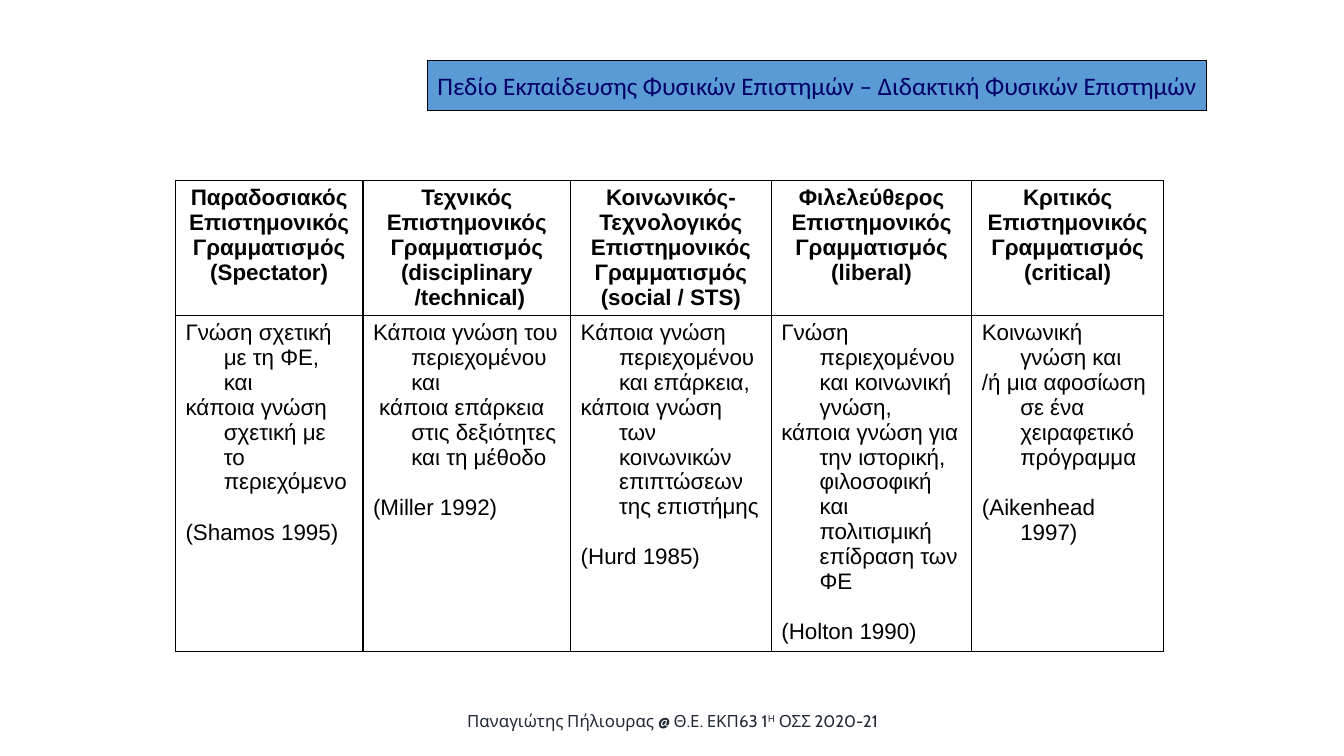
from lxml import etree
from pptx import Presentation
from pptx.dml.color import RGBColor
from pptx.enum.shapes import MSO_SHAPE
from pptx.enum.text import MSO_ANCHOR, PP_ALIGN
from pptx.oxml.ns import qn
from pptx.util import Inches, Pt

RECTANGLE = MSO_SHAPE.RECTANGLE
MIDDLE = MSO_ANCHOR.MIDDLE
CENTER, LEFT = PP_ALIGN.CENTER, PP_ALIGN.LEFT

TITLE = "Πεδίο Εκπαίδευσης Φυσικών Επιστημών – Διδακτική Φυσικών Επιστημών"
FOOTER = [("Παναγιώτης Πήλιουρας @ Θ.Ε. ΕΚΠ63 1", 0), ("Η", 30000), (" ΟΣΣ 2020-21", 0)]
LITERACIES = [
    {"heading": ["Παραδοσιακός", "Επιστημονικός", "Γραμματισμός", "(Spectator)"],
     "points": ["Γνώση σχετική με τη ΦΕ, και", "κάποια γνώση σχετική με το περιεχόμενο"],
     "citation": "(Shamos 1995)", "width": 1.86},
    {"heading": ["Τεχνικός", "Επιστημονικός", "Γραμματισμός", "(disciplinary", " /technical)"],
     "points": ["Κάποια γνώση του περιεχομένου και",
                " κάποια επάρκεια στις δεξιότητες και τη μέθοδο"],
     "citation": "(Miller 1992)", "width": 2.06},
    {"heading": ["Κοινωνικός-", "Τεχνολογικός", "Επιστημονικός", "Γραμματισμός", "(social / STS)"],
     "points": ["Κάποια γνώση περιεχομένου και επάρκεια,",
                "κάποια γνώση των κοινωνικών επιπτώσεων της επιστήμης"],
     "citation": "(Hurd 1985)", "width": 1.99},
    {"heading": ["Φιλελεύθερος", "Επιστημονικός", "Γραμματισμός", "(liberal)"],
     "points": ["Γνώση περιεχομένου και κοινωνική γνώση,",
                "κάποια γνώση για την ιστορική, φιλοσοφική και πολιτισμική επίδραση των ΦΕ"],
     "citation": "(Holton 1990)", "width": 1.99},
    {"heading": ["Κριτικός", "Επιστημονικός", "Γραμματισμός", "(critical)"],
     "points": ["Κοινωνική γνώση και", "/ή μια αφοσίωση σε ένα χειραφετικό πρόγραμμα"],
     "citation": "(Aikenhead 1997)", "width": 1.9},
]
ROW_HEIGHTS = [1.34, 3.33]
TABLE_LEFT, TABLE_TOP = 1.74, 1.79
HANGING_INDENT = 0.38
CITATION_GAP = 18

THEME = {
    "title": {"name": "Calibri", "size": Pt(18), "color": "000066"},
    "heading": {"name": "Arial", "size": Pt(16), "bold": True, "color": "000000"},
    "body": {"name": "Arial", "size": Pt(16), "bold": False, "color": "000000"},
    "footer": {"name": "Cabin", "size": Pt(12), "color": "222A35"},
    "banner": "5B9BD5",
    "line": "000000",
    "banner_line": Pt(0.75),
    "border": Pt(1),
}


def add_span(para, text, style):
    span = para.add_run()
    span.text = text
    for name, value in THEME[style].items():
        if name == "color":
            span.font.color.rgb = RGBColor.from_string(value)
        else:
            setattr(span.font, name, value)
    return span


def fill_cell(cell, lines, style, alignment):
    frame = cell.text_frame
    for index, line in enumerate(lines):
        para = frame.add_paragraph() if index else frame.paragraphs[0]
        para.alignment = alignment
        properties = para._p.get_or_add_pPr()
        properties.set("marL", str(Inches(HANGING_INDENT)))
        properties.set("indent", str(-Inches(HANGING_INDENT)))
        add_span(para, line, style)
    return para


def draw_borders(cell):
    properties = cell._tc.get_or_add_tcPr()
    for side in ("lnL", "lnR", "lnT", "lnB"):
        border = etree.SubElement(properties, qn(f"a:{side}"), w=str(THEME["border"]))
        paint = etree.SubElement(border, qn("a:solidFill"))
        etree.SubElement(paint, qn("a:srgbClr"), val=THEME["line"])
    cell.fill.background()


def add_literacy_table(page):
    widths = [literacy["width"] for literacy in LITERACIES]
    frame = page.shapes.add_table(
        len(ROW_HEIGHTS), len(widths), Inches(TABLE_LEFT), Inches(TABLE_TOP),
        Inches(sum(widths)), Inches(sum(ROW_HEIGHTS)))
    table = frame.table
    table.first_row = table.horz_banding = False
    for row, height in zip(table.rows, ROW_HEIGHTS):
        row.height = Inches(height)
    for index, literacy in enumerate(LITERACIES):
        table.columns[index].width = Inches(literacy["width"])
        heading, body = table.cell(0, index), table.cell(1, index)
        fill_cell(heading, literacy["heading"], "heading", CENTER)
        citation = fill_cell(body, literacy["points"] + [literacy["citation"]], "body", LEFT)
        citation.space_before = Pt(CITATION_GAP)
        for cell in (heading, body):
            draw_borders(cell)


def add_title(page):
    box = page.shapes.add_shape(RECTANGLE, Inches(4.24), Inches(0.6), Inches(7.73), Inches(0.5))
    box.shadow.inherit = False
    box.fill.solid()
    box.fill.fore_color.rgb = RGBColor.from_string(THEME["banner"])
    box.line.color.rgb = RGBColor.from_string(THEME["line"])
    box.line.width = THEME["banner_line"]
    box.text_frame.word_wrap = False
    box.text_frame.vertical_anchor = MIDDLE
    para = box.text_frame.paragraphs[0]
    para.alignment = CENTER
    add_span(para, TITLE, "title")


def add_footer(page):
    box = page.shapes.add_textbox(Inches(4.42), Inches(6.95), Inches(4.5), Inches(0.4))
    box.text_frame.word_wrap = True
    box.text_frame.vertical_anchor = MIDDLE
    para = box.text_frame.paragraphs[0]
    para.alignment = CENTER
    for text, baseline in FOOTER:
        span = add_span(para, text, "footer")
        span.font._element.set("baseline", str(baseline))


def main():
    deck = Presentation()
    deck.slide_width, deck.slide_height = Inches(13.33), Inches(7.5)
    page = deck.slides.add_slide(deck.slide_layouts[6])
    add_literacy_table(page)
    add_title(page)
    add_footer(page)
    deck.save("out.pptx")


if __name__ == "__main__":
    main()
